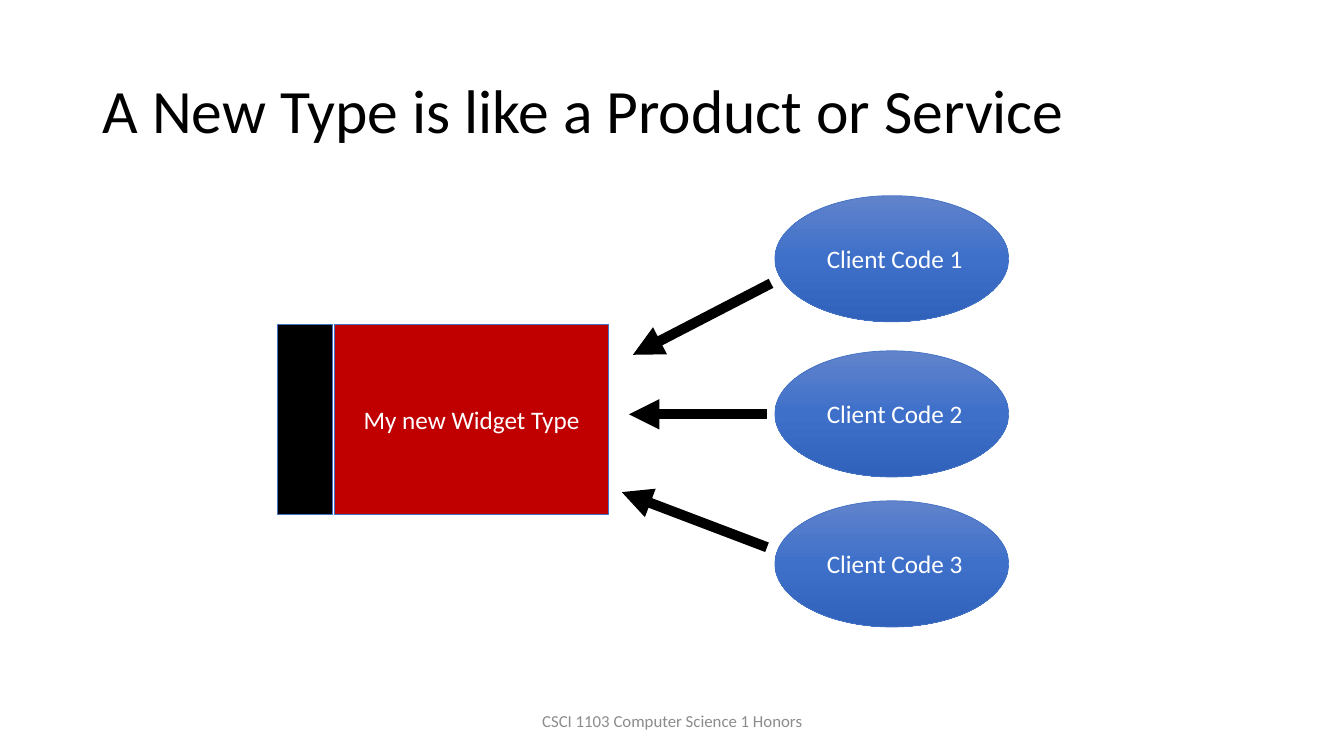
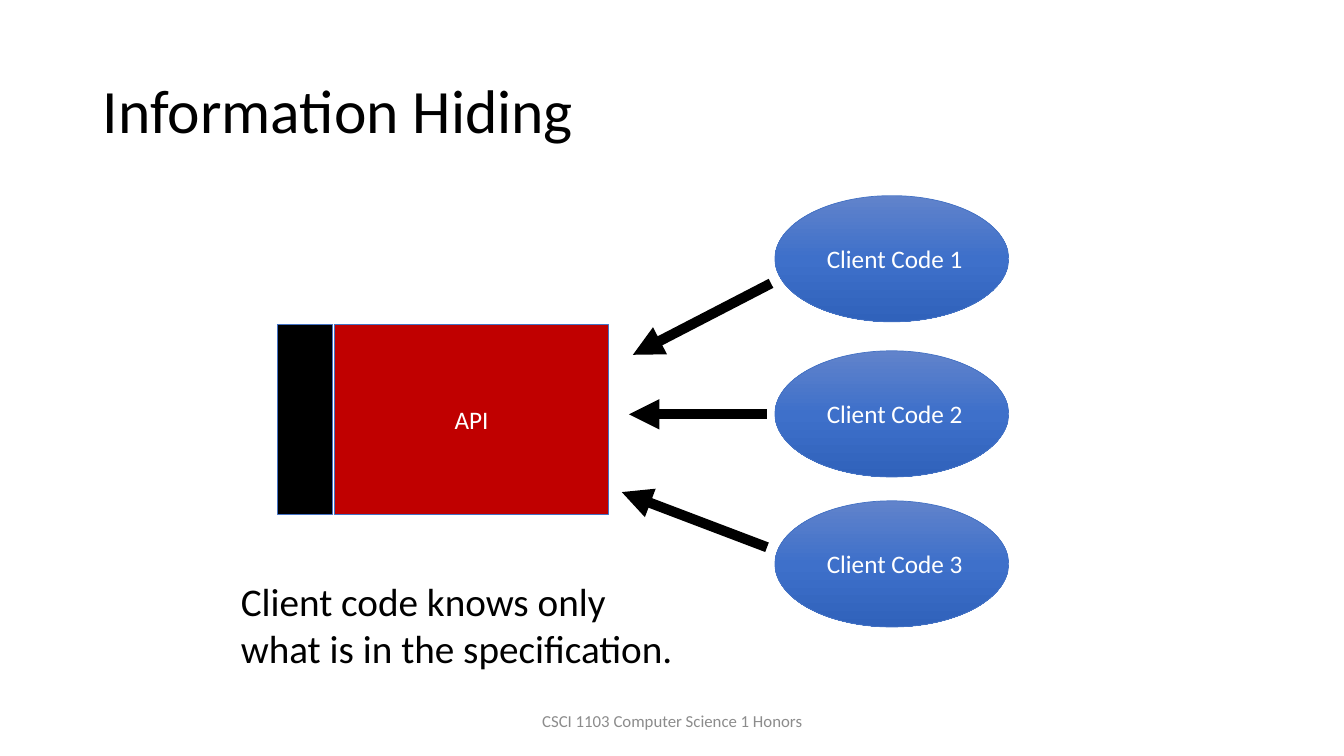
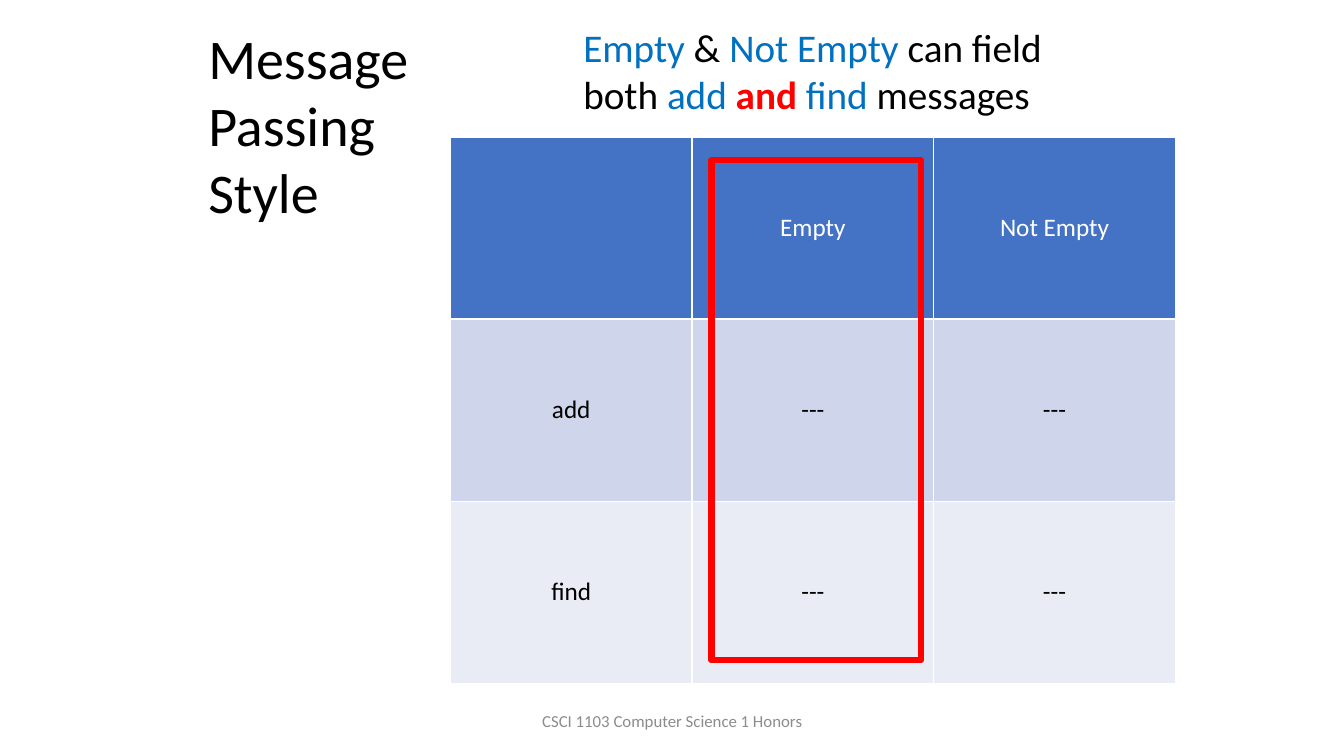
import copy

import lxml.etree
import pptx
import pptx.dml.color
import pptx.enum.shapes
import pptx.enum.text
import pptx.oxml.ns
import pptx.util

Cm = pptx.util.Cm
Pt = pptx.util.Pt
qn = pptx.oxml.ns.qn
ALIGN = pptx.enum.text.PP_ALIGN
ANCHOR = pptx.enum.text.MSO_ANCHOR
SHAPE = pptx.enum.shapes.MSO_SHAPE

FONT = "Calibri"
COLORS = {
    name: pptx.dml.color.RGBColor.from_string(value)
    for name, value in {
        "black": "000000",
        "white": "FFFFFF",
        "footer": "8C8C8C",
        "blue": "4472C4",
        "crimson": "C00000",
        "red": "FF0000",
        "keyword": "0070C0",
        "band_dark": "CFD5EA",
        "band_light": "E9EBF5",
        "gradient_top": "6183CB",
        "gradient_middle": "3E70CA",
        "gradient_bottom": "3062BB",
    }.items()
}
GRADIENT = [(0, "gradient_top"), (0.5, "gradient_middle"), (1, "gradient_bottom")]


def write_runs(text_frame, runs, size, alignment=ALIGN.LEFT):
    """Fill the first paragraph with (text, color name) runs; red runs are bold."""
    paragraph = text_frame.paragraphs[0]
    paragraph.alignment = alignment
    for text, color in runs:
        run = paragraph.add_run()
        run.text = text
        run.font.name = FONT
        run.font.size = Pt(size)
        run.font.bold = color == "red"
        run.font.color.rgb = COLORS[color]
    return paragraph


def add_text_box(slide, box, runs, size, alignment=ALIGN.LEFT, anchor=ANCHOR.TOP):
    text_frame = slide.shapes.add_textbox(*map(Cm, box)).text_frame
    text_frame.word_wrap = True
    text_frame.vertical_anchor = anchor
    return write_runs(text_frame, runs, size, alignment)


presentation = pptx.Presentation()
presentation.slide_width = Cm(33.87)
presentation.slide_height = Cm(19.05)
blank_layout = presentation.slide_layouts[6]

slides = []
for number in range(3):
    slide = presentation.slides.add_slide(blank_layout)
    add_text_box(slide, (11.23, 17.65, 11.43, 1.02),
                 [("CSCI 1103 Computer Science 1 Honors", "footer")],
                 12, ALIGN.CENTER, ANCHOR.MIDDLE)
    slides.append(slide)
product_slide, hiding_slide, message_slide = slides

# Client diagrams
client_tops = [4.93, 8.84, 12.62]
arrows = [
    (19.43, 7.14, 15.95, 8.94),
    (19.33, 10.44, 15.85, 10.44),
    (19.33, 13.79, 15.67, 12.4),
]
diagrams = [
    (product_slide, "A New Type is like a Product or Service", "My new Widget Type"),
    (hiding_slide, "Information Hiding", "API"),
]
for slide, title, widget_label in diagrams:
    paragraph = add_text_box(slide, (2.34, 1.02, 29.21, 3.68),
                             [(title, "black")], 44, anchor=ANCHOR.MIDDLE)
    paragraph.line_spacing = 0.9

    nodes = [
        (SHAPE.OVAL, (19.53, top, 5.89, 3.18), None, f" Client Code {number}")
        for number, top in enumerate(client_tops, 1)
    ]
    nodes += [
        (SHAPE.RECTANGLE, (8.43, 8.18, 6.91, 4.78), "crimson", widget_label),
        (SHAPE.RECTANGLE, (6.99, 8.18, 1.4, 4.78), "black", None),
    ]
    for kind, box, fill_color, label in nodes:
        shape = slide.shapes.add_shape(kind, *map(Cm, box))
        shape.shadow.inherit = False
        shape.line.color.rgb = COLORS["blue"]
        shape.line.width = Pt(0.5)
        if fill_color:
            shape.fill.solid()
            shape.fill.fore_color.rgb = COLORS[fill_color]
        else:
            shape.fill.gradient()
            shape.fill.gradient_angle = 270
            stop_list = shape._element.spPr.find(qn("a:gradFill")).find(qn("a:gsLst"))
            stop_list.append(copy.deepcopy(stop_list[0]))
            for stop, (position, color) in zip(shape.fill.gradient_stops, GRADIENT):
                stop.position = position
                stop.color.rgb = COLORS[color]
        if label:
            shape.text_frame.vertical_anchor = ANCHOR.MIDDLE
            write_runs(shape.text_frame, [(label, "white")], 18, ALIGN.CENTER)

    for ends in arrows:
        connector = slide.shapes.add_connector(
            pptx.enum.shapes.MSO_CONNECTOR.STRAIGHT, *map(Cm, ends))
        connector.line.color.rgb = COLORS["black"]
        connector.line.width = Pt(7.25)
        properties = connector._element.spPr
        lxml.etree.SubElement(properties.find(qn("a:ln")), qn("a:tailEnd"), type="triangle")
        lxml.etree.SubElement(properties, qn("a:effectLst"))

add_text_box(hiding_slide, (5.82, 14.43, 11.51, 2.64),
             [("Client code knows only what is in the specification.", "black")], 28)

# Message passing table
rows = [
    ("blue", "white", ["", "Empty", "Not Empty"]),
    ("band_dark", "black", ["add", "---", "---"]),
    ("band_light", "black", ["find", "---", "---"]),
]
table = message_slide.shapes.add_table(
    3, 3, Cm(11.35), Cm(3.45), Cm(18.27), Cm(13.77)).table
for row_index, (fill_color, text_color, labels) in enumerate(rows):
    for column_index, label in enumerate(labels):
        cell = table.cell(row_index, column_index)
        cell.fill.solid()
        cell.fill.fore_color.rgb = COLORS[fill_color]
        cell.vertical_anchor = ANCHOR.MIDDLE
        if label:
            write_runs(cell.text_frame, [(label, text_color)], 18, ALIGN.CENTER)

add_text_box(message_slide, (14.45, 0.46, 12.85, 2.64), [
    ("Empty", "keyword"),
    (" & ", "black"),
    ("Not Empty ", "keyword"),
    ("can field both ", "black"),
    ("add ", "keyword"),
    ("and ", "red"),
    ("find ", "keyword"),
    ("messages", "black"),
], 28)

highlight = message_slide.shapes.add_shape(
    SHAPE.RECTANGLE, Cm(17.93), Cm(4.04), Cm(5.28), Cm(12.6))
highlight.shadow.inherit = False
highlight.fill.background()
highlight.line.color.rgb = COLORS["red"]
highlight.line.width = Pt(4.5)

add_text_box(message_slide, (5, 0.46, 7.34, 5.38),
             [("Message Passing Style", "black")], 40)

presentation.save("out.pptx")
